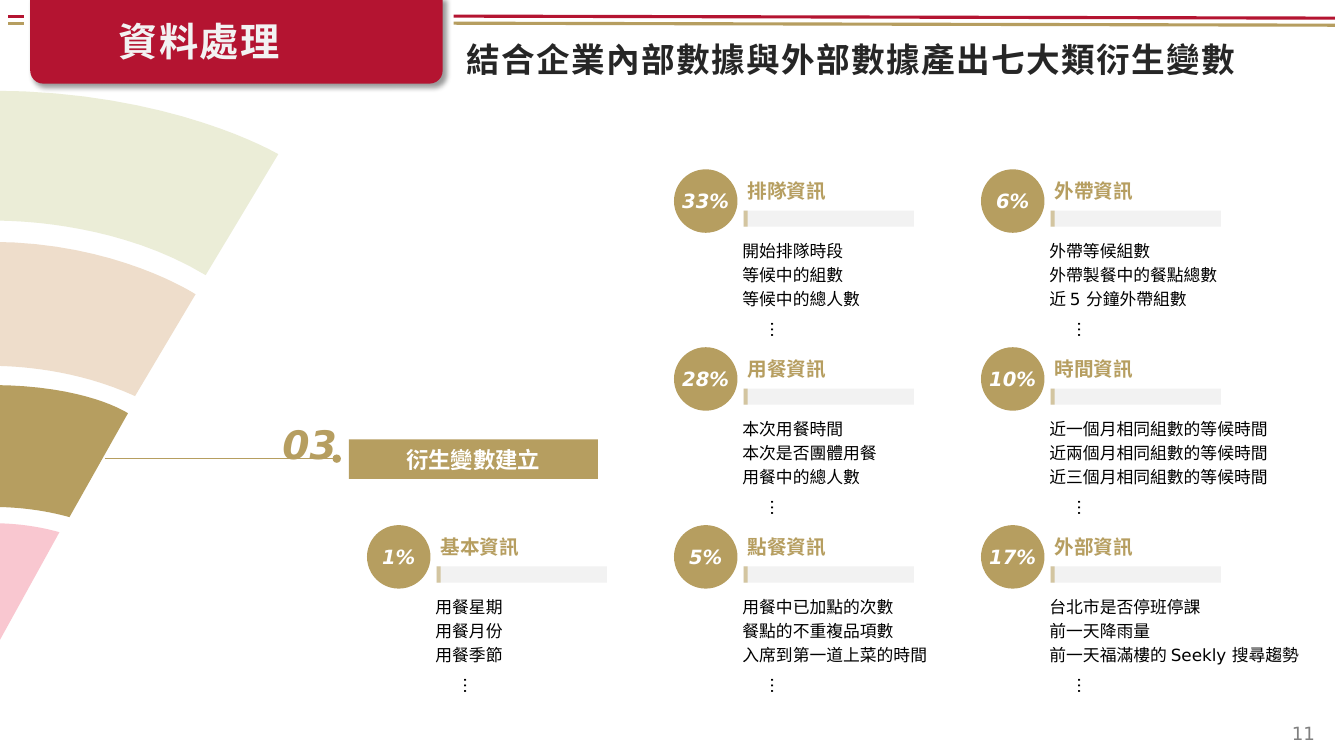
from pptx import Presentation
from pptx.dml.color import RGBColor
from pptx.enum.shapes import MSO_CONNECTOR, MSO_SHAPE
from pptx.enum.text import MSO_ANCHOR, PP_ALIGN
from pptx.oxml import parse_xml
from pptx.oxml.ns import nsdecls, qn
from pptx.util import Inches, Pt

RECT, OVAL, TAB = MSO_SHAPE.RECTANGLE, MSO_SHAPE.OVAL, MSO_SHAPE.ROUND_2_SAME_RECTANGLE
STRAIGHT = MSO_CONNECTOR.STRAIGHT
LEFT, CENTER, RIGHT = PP_ALIGN.LEFT, PP_ALIGN.CENTER, PP_ALIGN.RIGHT
TOP, MIDDLE = MSO_ANCHOR.TOP, MSO_ANCHOR.MIDDLE

COLUMNS, ROWS = 13.33, 7.5  # grid of one-inch cells
COLORS = {
    "red": "B41431", "gold": "B69E60", "sand": "D3C5A0", "track": "F2F2F2",
    "pink": "F9C7D0", "peach": "EEDDCB", "lime": "EBEDD7",
    "ink": "262626", "black": "000000", "white": "FFFFFF", "gray": "808080",
}
SANS, CJK = "DejaVu Sans", "Noto Sans CJK SC"

# Fan rings from the bottom up: points are pairs, curves are (control, control, end)
FAN = [
    ("pink", [(-0.09, 5.19), (-0.09, 6.51), (0.59, 5.28),
              ((0.38, 5.22), (0.15, 5.19), (-0.09, 5.19))]),
    ("gold", [(-0.09, 3.82), (-0.09, 5.03), (-0.07, 5.03),
              ((0.02, 5.03), (0.33, 5.03), (0.69, 5.13)), (1.27, 4.1),
              ((1.27, 4.1), (0.86, 3.82), (-0.09, 3.82))]),
    ("peach", [(-0.09, 2.4), (-0.09, 3.63),
               ((0.16, 3.63), (0.75, 3.66), (1.34, 3.93)), (1.94, 2.92),
               ((1.94, 2.92), (1.15, 2.4), (-0.09, 2.4))]),
    ("lime", [(-0.09, 0.9), (-0.09, 2.19), (-0.02, 2.19),
              ((0.24, 2.19), (1.21, 2.23), (2.04, 2.73)), (2.76, 1.53),
              ((2.76, 1.53), (1.7, 0.9), (-0.09, 0.9))]),
]

# (card column, card row, share, category, variables)
CARDS = [
    (0, 2, "1%", "基本資訊", ["用餐星期", "用餐月份", "用餐季節"]),
    (1, 0, "33%", "排隊資訊", ["開始排隊時段", "等候中的組數", "等候中的總人數"]),
    (1, 1, "28%", "用餐資訊", ["本次用餐時間", "本次是否團體用餐", "用餐中的總人數"]),
    (1, 2, "5%", "點餐資訊", ["用餐中已加點的次數", "餐點的不重複品項數", "入席到第一道上菜的時間"]),
    (2, 0, "6%", "外帶資訊", ["外帶等候組數", "外帶製餐中的餐點總數", "近 5 分鐘外帶組數"]),
    (2, 1, "10%", "時間資訊", ["近一個月相同組數的等候時間", "近兩個月相同組數的等候時間",
                           "近三個月相同組數的等候時間"]),
    (2, 2, "17%", "外部資訊", ["台北市是否停班停課", "前一天降雨量", "前一天福滿樓的 Seekly 搜尋趨勢"]),
]
CARD_LEFT, CARD_TOP, CARD_STEP_X, CARD_STEP_Y = 3.64, 1.68, 3.045, 1.765


def bezier(start, control_1, control_2, end, steps=16):
    for step in range(1, steps + 1):
        t = step / steps
        weights = ((1 - t) ** 3, 3 * t * (1 - t) ** 2, 3 * t * t * (1 - t), t ** 3)
        corners = (start, control_1, control_2, end)
        yield tuple(sum(w * c[axis] for w, c in zip(weights, corners)) for axis in (0, 1))


class SlideBuilder:
    def __init__(self, slide):
        self.slide = slide
        self.shapes = slide.shapes

    def color(self, name):
        return RGBColor.from_string(COLORS[name])

    def paint(self, shape, fill):
        shape.shadow.inherit = False
        shape.fill.solid()
        shape.fill.fore_color.rgb = self.color(fill)
        shape.line.fill.background()
        return shape

    def letter(self, holder, lines, size, color, font=SANS, bold=False, italic=False,
               align=LEFT, anchor=TOP, wrap=False, spacing=None, tracking=None):
        """Fill a shape with styled text, one paragraph for each line."""
        frame = holder.text_frame
        frame.word_wrap = wrap
        frame.vertical_anchor = anchor
        frame.text = "\n".join(lines)
        for paragraph in frame.paragraphs:
            paragraph.alignment = align
            paragraph.line_spacing = spacing
            style = paragraph.font
            style.name, style.size, style.bold, style.italic = font, Pt(size), bold, italic
            style.color.rgb = self.color(color)
            if tracking:
                for run in paragraph.runs:
                    run._r.get_or_add_rPr().set("spc", str(tracking * 100))
        return holder

    def text(self, box, lines, size, color, **style):
        holder = self.shapes.add_textbox(*map(Inches, box))
        return self.letter(holder, lines, size, color, **style)

    def title(self, box, heading, size, color, **style):
        holder = self.shapes.title
        holder.left, holder.top, holder.width, holder.height = map(Inches, box)
        self.letter(holder, [heading], size, color, **style)

    def shape(self, kind, box, fill):
        return self.paint(self.shapes.add_shape(kind, *map(Inches, box)), fill)

    def line(self, start, end, color, width, oval_tip=False):
        connector = self.shapes.add_connector(STRAIGHT, *map(Inches, start + end))
        connector.line.color.rgb = self.color(color)
        connector.line.width = Pt(width)
        if oval_tip:
            connector.line._get_or_add_ln().append(
                parse_xml(f'<a:tailEnd {nsdecls("a")} type="oval"/>'))
        connector._element.spPr.append(parse_xml(f'<a:effectLst {nsdecls("a")}/>'))

    def ring(self, fill, outline):
        points = [outline[0]]
        for part in outline[1:]:
            points.extend(bezier(points[-1], *part) if len(part) == 3 else [part])
        points = [(Inches(x), Inches(y)) for x, y in points]
        builder = self.shapes.build_freeform(*points[0])
        builder.add_line_segments(points[1:], close=True)
        self.paint(builder.convert_to_shape(), fill)

    def banner(self, box, fill):
        """Tab hanging from the top edge, with rounded lower corners and a soft shadow."""
        tab = self.shape(TAB, box, fill)
        tab.adjustments[0], tab.adjustments[1] = 0, 0.15
        tab._element.spPr.find(qn("a:effectLst")).append(parse_xml(
            f'<a:outerShdw {nsdecls("a")} blurRad="{Pt(4)}" dist="{Pt(3)}" dir="2700000">'
            f'<a:srgbClr val="{COLORS["black"]}"><a:alpha val="40000"/></a:srgbClr>'
            '</a:outerShdw>'))

    def card(self, column, row, share, category, variables):
        x, y = CARD_LEFT + column * CARD_STEP_X, CARD_TOP + row * CARD_STEP_Y
        self.text((x + 0.63, y + 0.05, 1.54, 0.34), [category], 14, "gold",
                  font=CJK, bold=True, wrap=True)
        badge = self.shape(OVAL, (x, y, 0.63, 0.63), "gold")
        frame = badge.text_frame
        frame.margin_left = frame.margin_right = 0
        self.letter(badge, [share], 14, "white", bold=True, italic=True,
                    align=CENTER, anchor=MIDDLE)
        for width, fill in ((1.69, "track"), (0.04, "sand")):
            self.shape(RECT, (x + 0.69, y + 0.41, width, 0.16), fill)
        self.text((x + 0.58, y + 0.62, 3.02, 0.81), variables, 12, "black",
                  wrap=True, spacing=1.2)
        more = self.text((x + 0.78, y + 1.41, 0.4, 0.24), ["…"], 12, "black")
        more.text_frame._txBody.bodyPr.set("vert", "eaVert")


def main():
    deck = Presentation()
    deck.slide_width, deck.slide_height = Inches(COLUMNS), Inches(ROWS)
    page = SlideBuilder(deck.slides.add_slide(deck.slide_layouts[5]))

    for left, right, drop in ((4.5, 13.24, 0.02), (0.08, 0.24, 0)):
        for y, color in ((0.16, "red"), (0.23, "gold")):
            page.line((left, y), (right, y + drop), color, 2.25)
    page.banner((0.3, -0.03, 4.09, 0.86), "red")
    page.text((1.08, 0.12, 1.83, 0.57), ["資料處理"], 28, "track",
              font=CJK, bold=True, tracking=1)
    page.title((4.53, 0.34, 7.92, 0.5), "結合企業內部數據與外部數據產出七大類衍生變數",
               24, "ink", bold=True, tracking=1)

    for fill, outline in FAN:
        page.ring(fill, outline)
    page.line((1.04, 4.55), (3.34, 4.55), "gold", 0.75, oval_tip=True)
    step = page.shape(RECT, (3.46, 4.36, 2.47, 0.39), "gold")
    page.letter(step, ["衍生變數建立"], 16, "white", bold=True, align=CENTER, anchor=MIDDLE)
    page.text((2.68, 4.12, 0.76, 0.57), ["03"], 28, "gold",
              bold=True, italic=True, align=RIGHT)

    for card in CARDS:
        page.card(*card)
    page.text((11.37, 7.07, 1.77, 0.4), ["11"], 13, "gray",
              align=RIGHT, anchor=MIDDLE, wrap=True)
    deck.save("out.pptx")


if __name__ == "__main__":
    main()
